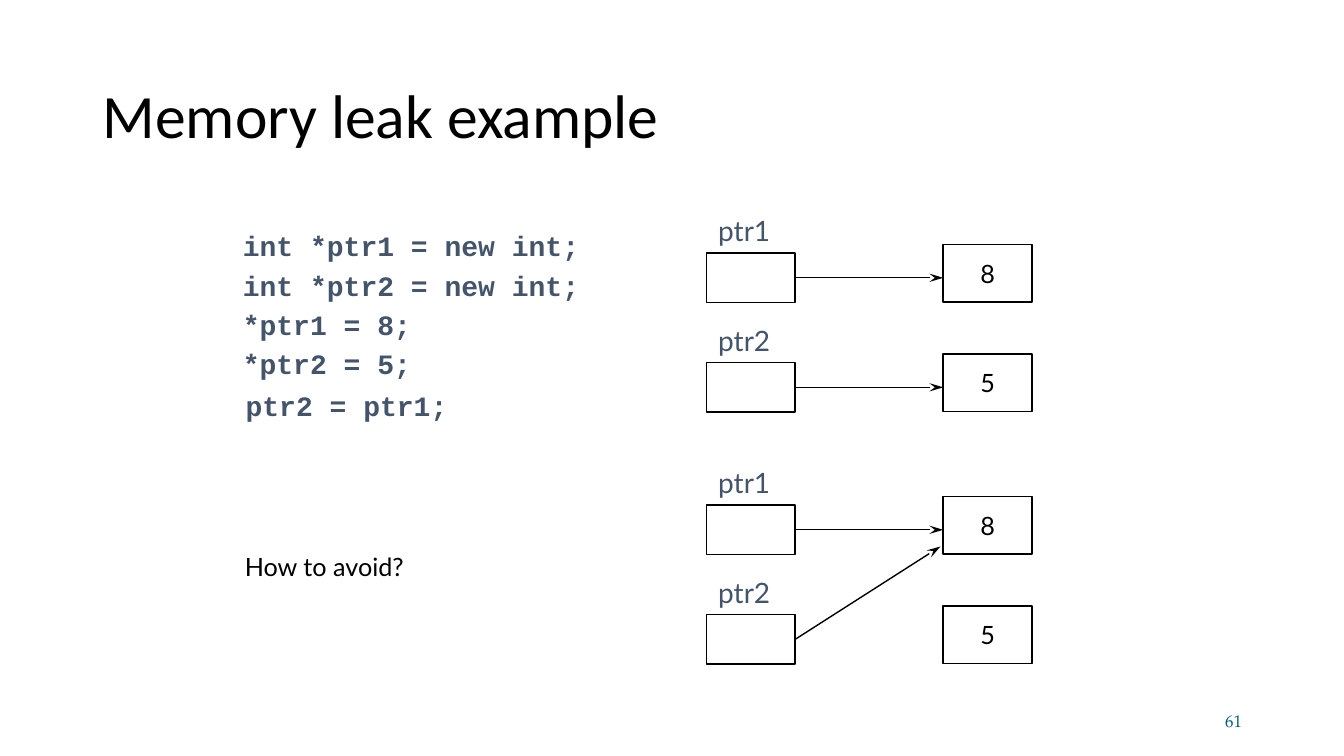
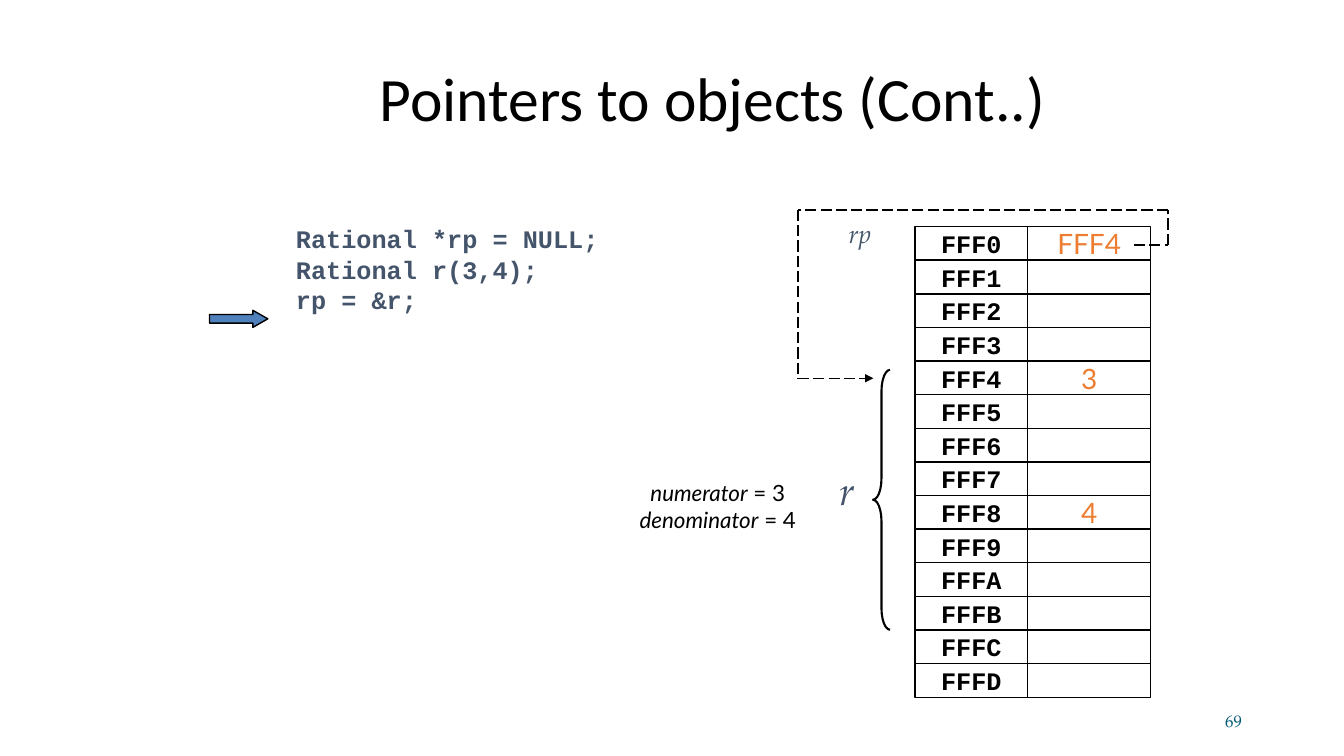
from itertools import pairwise
from lxml.etree import SubElement
from pptx import Presentation
from pptx.dml.color import RGBColor
from pptx.enum.dml import MSO_LINE
from pptx.enum.shapes import MSO_CONNECTOR, MSO_SHAPE
from pptx.enum.text import MSO_ANCHOR, PP_ALIGN
from pptx.oxml.ns import qn
from pptx.util import Cm, Pt

HUES = {"ink": "000000", "slate": "44546A", "teal": "045C75",
        "orange": "ED7D31", "blue": "4F81BD"}
# Each style: font, size, colour, bold, italic
STYLES = {
    "title": ("Calibri", 44, "ink", False, False),
    "page": ("TeX Gyre Pagella", 12, "teal", False, False),
    "code": ("Courier New", 20, "slate", True, False),
    "list": ("Courier New", 18, "slate", True, False),
    "cell": ("Courier New", 18, "ink", True, False),
    "value": ("Lato", 20, "orange", False, False),
    "label": ("Lato", 20, "slate", False, False),
    "plain": ("Lato", 18, "ink", False, False),
    "note": ("Lato", 16, "ink", False, False),
    "term": ("Lato", 16, "ink", False, True),
    "name": ("TeX Gyre Pagella", 18, "slate", False, True),
    "big": ("TeX Gyre Pagella", 28, "slate", False, True),
}
LEFT, MID, RIGHT = PP_ALIGN.LEFT, PP_ALIGN.CENTER, PP_ALIGN.RIGHT


def put(slide, box, lines=(), kind=None, align=LEFT, mid=False, wrap=True,
        gap=0, inset=0.25, fill=None, line=1):
    """Add a text box or preset shape; lines hold (text, style) runs."""
    spot = [Cm(n) for n in box]
    if kind is None:
        shape = slide.shapes.add_textbox(*spot)
    else:
        shape = slide.shapes.add_shape(kind, *spot)
        shape.shadow.inherit = False
        shape.line.color.rgb = RGBColor.from_string(HUES["ink"])
        shape.line.width = Pt(line)
        if fill:
            shape.fill.solid()
            shape.fill.fore_color.rgb = RGBColor.from_string(HUES[fill])
        else:
            shape.fill.background()
    frame = shape.text_frame
    frame.word_wrap = wrap
    frame.vertical_anchor = MSO_ANCHOR.MIDDLE if mid else MSO_ANCHOR.TOP
    frame.margin_left = frame.margin_right = Cm(inset)
    frame.margin_top = frame.margin_bottom = Cm(0.13)
    for i, runs in enumerate(lines):
        para = frame.add_paragraph() if i else frame.paragraphs[0]
        para.alignment = align
        para.space_before = Pt(gap)
        for text, style in runs:
            run = para.add_run()
            run.text = text
            face, size, hue, bold, slant = STYLES[style]
            run.font.name = face
            run.font.size = Pt(size)
            run.font.bold = bold
            run.font.italic = slant
            run.font.color.rgb = RGBColor.from_string(HUES[hue])
    return shape


def wire(slide, start, end, head=None, size="med", dash=False):
    """Draw a straight line, with an arrowhead at its end if named."""
    link = slide.shapes.add_connector(
        MSO_CONNECTOR.STRAIGHT, *[Cm(n) for n in (*start, *end)])
    link.line.color.rgb = RGBColor.from_string(HUES["ink"])
    link.line.width = Pt(1)
    if dash:
        link.line.dash_style = MSO_LINE.LONG_DASH
    props = link.element.spPr
    if head:
        SubElement(props.find(qn("a:ln")), qn("a:tailEnd"),
                   type=head, w="med", len=size)
    SubElement(props, qn("a:effectLst"))


deck = Presentation()
deck.slide_width, deck.slide_height = Cm(33.87), Cm(19.05)
slides = []
for title, box, page in (
        ("Memory leak example", (2.34, 1.02, 29.21, 3.68), "61"),
        ("Pointers to objects (Cont..)", (9.32, 0.89, 18.85, 3.12), "69")):
    slide = deck.slides.add_slide(deck.slide_layouts[6])
    put(slide, box, [[(title, "title")]], mid=True)
    put(slide, (23.93, 17.65, 7.62, 1.02), [[(page, "page")]],
        align=RIGHT, mid=True)
    slides.append(slide)
leak, objects = slides

# Memory leak: code, then the pointers before and after the assignment
code = ["int *ptr1 = new int;", "int *ptr2 = new int;",
        "*ptr1 = 8;", "*ptr2 = 5;"]
put(leak, (5.87, 5.64, 8.99, 4.06), [[(row, "code")] for row in code],
    wrap=False, gap=4)
put(leak, (5.94, 9.65, 5.59, 1.09), [[("ptr2 = ptr1;", "code")]],
    wrap=False, gap=4)
put(leak, (5.92, 13.77, 6.35, 1.02), [[("How to avoid?", "plain")]], gap=9)

STEP, EDGE, GOAL = 2.76, 20.04, 23.77
for top, moved in ((6.38, False), (12.73, True)):
    for i, (name, num) in enumerate((("ptr1", "8"), ("ptr2", "5"))):
        y = top + i * STEP
        put(leak, (17.85, y - 1.12, 1.98, 1.09), [[(name, "label")]],
            wrap=False)
        put(leak, (17.8, y, 2.24, 1.24), kind=MSO_SHAPE.RECTANGLE)
        put(leak, (GOAL, y - 0.22, 2.24, 1.45), [[(num, "plain")]],
            MSO_SHAPE.RECTANGLE, align=MID, mid=True, wrap=False)
        end = (23.7, top + 1.04) if moved and i else (GOAL, y + 0.62)
        wire(leak, (EDGE, y + 0.62), end, "stealth", "lg")

# Pointers to objects: code and the current step
rows = ["Rational *rp = NULL;", "Rational r(3,4);", "rp = &r;"]
put(objects, (7.21, 5.51, 12.5, 4.24), [[(row, "list")] for row in rows])
arrow = put(objects, (5.28, 7.82, 1.47, 0.43), kind=MSO_SHAPE.RIGHT_ARROW,
            fill="blue")
arrow.adjustments[1] = 0.875

# Memory cells FFF0 to FFFD
TALL = 11.86 / 14
values = {0: "FFF4", 4: "3", 8: "4"}
for i in range(14):
    y = 5.71 + i * TALL
    put(objects, (25.9, y, 3.1, TALL),
        [[(values[i], "value")]] if i in values else (),
        MSO_SHAPE.RECTANGLE, align=MID, mid=True, wrap=False)
    put(objects, (23.06, y, 2.84, TALL), [[(f"FFF{i:X}", "cell")]],
        MSO_SHAPE.RECTANGLE, align=MID, mid=True, wrap=False)

# The object r and the pointer rp to it
brace = put(objects, (22, 9.32, 0.43, 6.55), kind=MSO_SHAPE.LEFT_BRACE,
            line=1.5)
brace.adjustments[0] = 1.253
put(objects, (15.65, 11.94, 4.88, 2.29),
    [[("numerator", "term"), (" = 3", "note")],
     [("denominator", "term"), (" = 4", "note")]], align=MID)
route = [(28.58, 6.17), (29.43, 6.17), (29.43, 5.29), (20.11, 5.29),
         (20.11, 9.53), (22.01, 9.53)]
for start, end in pairwise(route):
    wire(objects, start, end, "triangle" if end == route[-1] else None,
         dash=True)
put(objects, (21.16, 11.63, 0.84, 1.45), [[("r", "big")]], gap=14, inset=0)
put(objects, (21.39, 5.38, 1.91, 1.02), [[("rp", "name")]], gap=9, inset=0)

deck.save("out.pptx")
